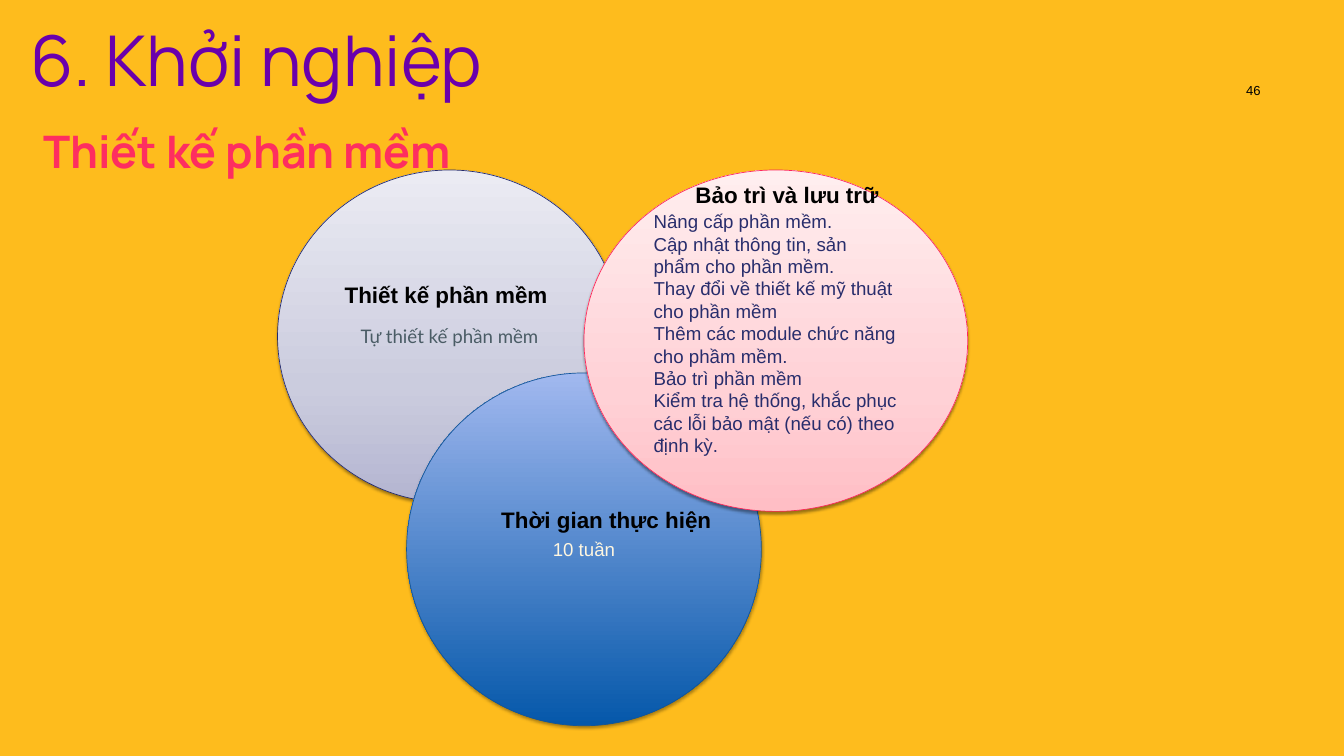
from lxml.etree import SubElement
from pptx import Presentation
from pptx.dml.color import RGBColor
from pptx.enum.shapes import MSO_SHAPE
from pptx.enum.text import MSO_ANCHOR, MSO_AUTO_SIZE, PP_ALIGN
from pptx.oxml.ns import qn
from pptx.util import Emu, Pt

PX = 9144  # 100 px to the inch
INSET = 20

CIRCLES = [
    dict(box=(413, 253, 512, 495), stops=[(0, "B4B5D1"), (35, "CBCCDE"), (100, "EBEBF3")],
         outline="252B6B", shadow=(38, 1.6), align=PP_ALIGN.CENTER, font="Lato", ink="4A5C65",
         lines=["Tự thiết kế phần mềm"]),
    dict(box=(605, 555, 528, 525), stops=[(0, "0558AA"), (100, "A1B8EF")],
         outline="145697", shadow=(35, 1.8), align=PP_ALIGN.CENTER, font="Arial", ink="FEF6E0",
         lines=["10 tuần"]),
    dict(box=(869, 253, 571, 508), stops=[(0, "FFBEC5"), (35, "FFD1D6"), (100, "FFEEEF")],
         outline="FD285B", shadow=(38, 1.6), align=PP_ALIGN.LEFT, font="Arial", ink="282D6C",
         bottom=42,
         lines=["Nâng cấp phần mềm.",
                "Cập nhật thông tin, sản phẩm cho phần mềm.",
                "Thay đổi về thiết kế mỹ thuật cho phần mềm",
                "Thêm các module chức năng cho phầm mềm.",
                "Bảo trì phần mềm",
                "Kiểm tra hệ thống, khắc phục các lỗi bảo mật (nếu có) theo định kỳ."]),
]

# Heading, box, wrap
HEADINGS = [
    ("Thiết kế phần mềm", (503, 413, 325, 50), False),
    ("Bảo trì và lưu trữ", (1025, 265, 312, 50), True),
    ("Thời gian thực hiện", (736, 748, 335, 50), False),
]


def px(*lengths):
    return [Emu(length * PX) for length in lengths]


def color(hex_string):
    return RGBColor.from_string(hex_string)


def set_margins(frame, left, top, right, bottom):
    (frame.margin_left, frame.margin_top,
     frame.margin_right, frame.margin_bottom) = px(left, top, right, bottom)


def add_run(paragraph, text, size, font, ink, bold=False):
    run = paragraph.add_run()
    run.text = text
    run.font.size = Pt(size)
    run.font.name = font
    run.font.bold = bold
    run.font.color.rgb = color(ink)


def add_stop_color(parent, hex_string):
    return SubElement(parent, qn("a:srgbClr"), val=hex_string)


def fill_upward(shape, stops):
    """Fill with a gradient that runs from bottom to top."""
    shape.fill.gradient()
    shape.fill.gradient_angle = 90
    stop_list = shape.element.spPr.find(qn("a:gradFill")).find(qn("a:gsLst"))
    for old_stop in list(stop_list):
        stop_list.remove(old_stop)
    for position, hex_string in stops:
        stop = SubElement(stop_list, qn("a:gs"), pos=str(position * 1000))
        add_stop_color(stop, hex_string)


def drop_shadow(shape, opacity, distance):
    shape.shadow.inherit = False
    effects = shape.element.spPr.find(qn("a:effectLst"))
    shadow = SubElement(effects, qn("a:outerShdw"), blurRad=str(Pt(3.1)),
                        dist=str(Pt(distance)), dir="5400000", rotWithShape="0")
    SubElement(add_stop_color(shadow, "000000"), qn("a:alpha"), val=str(opacity * 1000))


def place_heading(placeholder, box, text, size, ink, spacing, bold=False):
    """Move a template placeholder and set it as one plain line."""
    placeholder.left, placeholder.top, placeholder.width, placeholder.height = px(*box)
    frame = placeholder.text_frame
    set_margins(frame, 0, 0, 0, 0)
    frame.vertical_anchor = MSO_ANCHOR.TOP
    frame.auto_size = MSO_AUTO_SIZE.NONE
    line = frame.paragraphs[0]
    properties = line._p.get_or_add_pPr()
    properties.set("marL", "0")
    properties.set("indent", "0")
    SubElement(properties, qn("a:buNone"))
    line.alignment = PP_ALIGN.LEFT
    line.line_spacing = spacing
    line.space_before = Pt(0)
    add_run(line, text, size, "Manrope", ink, bold)


def add_circle(slide, box, stops, outline, shadow, align, font, ink, lines, bottom=INSET):
    circle = slide.shapes.add_shape(MSO_SHAPE.OVAL, *px(*box))
    fill_upward(circle, stops)
    circle.line.color.rgb = color(outline)
    circle.line.width = Pt(0.75)
    drop_shadow(circle, *shadow)
    frame = circle.text_frame
    frame.word_wrap = True
    frame.vertical_anchor = MSO_ANCHOR.MIDDLE
    set_margins(frame, INSET, INSET, INSET, bottom)
    for index, text in enumerate(lines):
        paragraph = frame.add_paragraph() if index else frame.paragraphs[0]
        paragraph.alignment = align
        add_run(paragraph, text, 20, font, ink)


def add_label(slide, box, text, size, wrap=True, bold=False):
    frame = slide.shapes.add_textbox(*px(*box)).text_frame
    frame.word_wrap = wrap
    add_run(frame.paragraphs[0], text, size, "Arial", "000000", bold)
    return frame


def add_page_number(slide, box, number):
    frame = add_label(slide, box, number, 14)
    frame.vertical_anchor = MSO_ANCHOR.MIDDLE
    frame.paragraphs[0].alignment = PP_ALIGN.RIGHT
    set_margins(frame, INSET, INSET, INSET, INSET)


def main():
    deck = Presentation()
    deck.slide_width, deck.slide_height = px(2000, 1125)
    slide = deck.slides.add_slide(deck.slide_layouts[1])
    slide.background.fill.solid()
    slide.background.fill.fore_color.rgb = color("FEBC1D")

    # Title and subtitle
    place_heading(slide.shapes.title, (45, 0, 842, 151), "6. Khởi nghiệp",
                  75, "6A00AC", 1.2)
    place_heading(slide.placeholders[1], (64, 160, 1082, 105), "Thiết kế phần mềm",
                  48, "FE2E60", 1.3, bold=True)

    # Overlapping circles, back to front
    for circle in CIRCLES:
        add_circle(slide, **circle)

    # Page number and circle headings
    add_page_number(slide, (1776, 91, 120, 86), "46")
    for text, box, wrap in HEADINGS:
        add_label(slide, box, text, 24, wrap, bold=True)

    deck.save("out.pptx")


if __name__ == "__main__":
    main()
